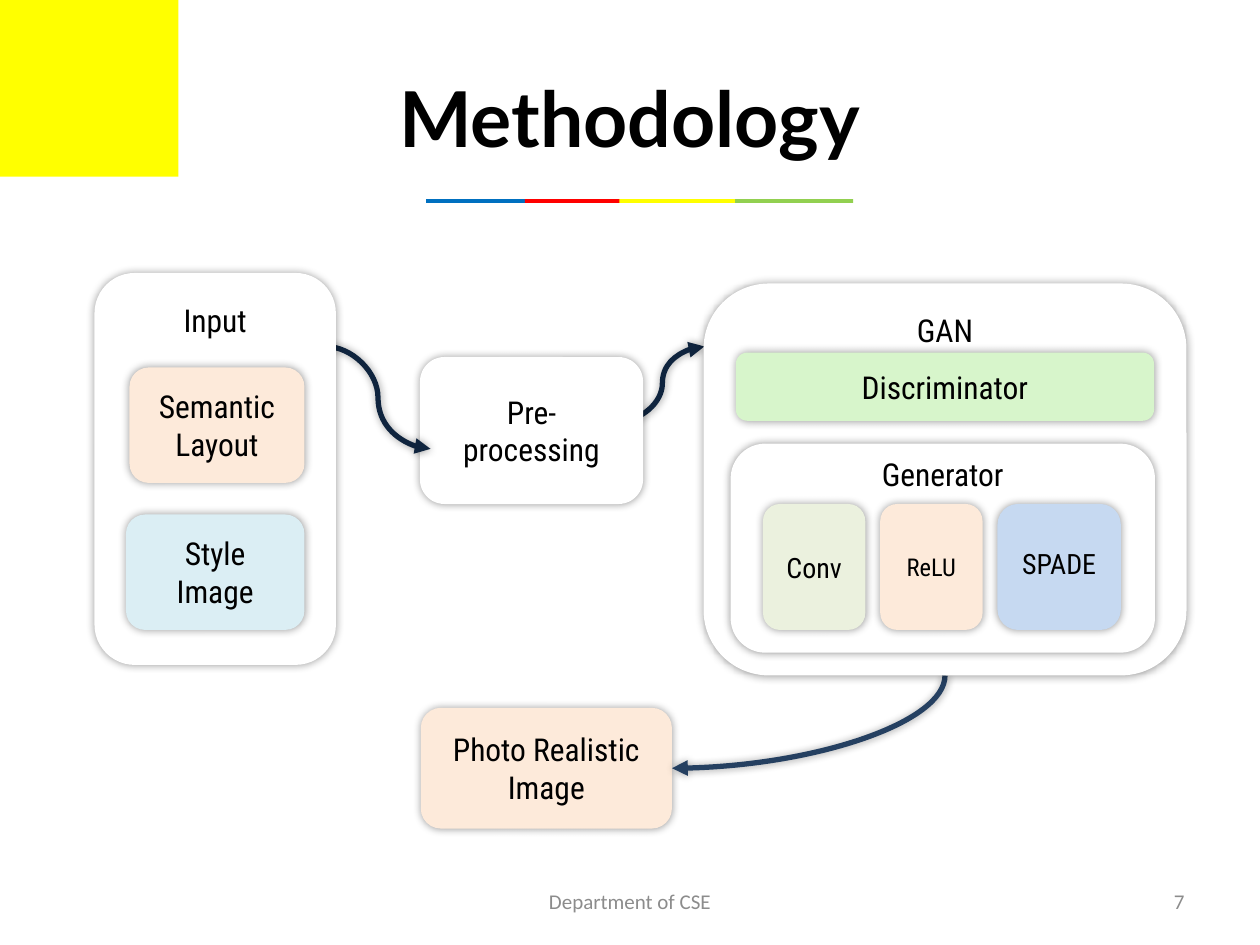
from lxml import etree
from pptx import Presentation
from pptx.dml.color import RGBColor
from pptx.enum.shapes import MSO_CONNECTOR, MSO_SHAPE
from pptx.enum.text import MSO_ANCHOR, PP_ALIGN
from pptx.oxml import parse_xml
from pptx.oxml.ns import nsdecls, qn
from pptx.util import Pt

CURVE = MSO_CONNECTOR.CURVE
RECTANGLE, ROUNDED = MSO_SHAPE.RECTANGLE, MSO_SHAPE.ROUNDED_RECTANGLE
TOP, MIDDLE = MSO_ANCHOR.TOP, MSO_ANCHOR.MIDDLE
CENTER, RIGHT = PP_ALIGN.CENTER, PP_ALIGN.RIGHT
TITLE_ONLY = 5
INSET = 3.6

COLORS = {
    "black": "000000", "white": "FFFFFF", "gray": "8C8C8C",
    "yellow": "FFFF00", "blue": "0070C0", "red": "FF0000", "lime": "92D050",
    "peach": "FDEADA", "ice": "DBEEF4", "mint": "D7F5CB",
    "sage": "EBF1DE", "sky": "C6D9F1",
    "navy": "0F243E", "steel": "254061",
}

TITLE = "Methodology"
TITLE_BOUNDS = (36, 21.6, 648, 90)
FOOTERS = [
    ("7", (516, 500.5, 168, 28.75), RIGHT),
    ("Department of CSE", (246, 500.5, 228, 28.75), CENTER),
]

CORNER = (-12, -13, 114, 114)
STRIPE_TOP, STRIPE_HEIGHT = 113.75, 2.25
STRIPES = [(243.5, 57, "blue"), (300, 57, "red"),
           (354, 70.5, "yellow"), (420, 67.5, "lime")]

MIDDLE_BOXES = [
    ("Pre-processing", (240, 204, 127.5, 84), "white"),
    ("Photo Realistic Image", (240.5, 404.5, 143.5, 69), "peach"),
]
INPUT_BOXES = [
    ("Semantic Layout", (74, 210, 100, 66), "peach"),
    ("Style Image", (72, 294, 102, 66), "ice"),
]
CONTAINERS = [
    ("Input", (54, 156, 138, 224), 9.2),
    ("GAN", (402, 162, 276, 224), 4.6),
    ("Generator", (417.5, 253.5, 242.5, 119.5), 1),
]
DISCRIMINATOR = ("Discriminator", (420.5, 201.5, 239, 39), "mint")
LAYER_LEFT, LAYER_TOP, LAYER_HEIGHT, LAYER_GAP = 436, 288, 72, 8.5
LAYERS = [("Conv", 58.5, "sage", 16, INSET), ("ReLU", 58.5, "peach", 14, INSET),
          ("SPADE", 70.5, "sky", 16, 7.2)]

PREPROCESSING_TO_GAN = (354.5, 240.5, 402.5, 198)
INPUT_TO_PREPROCESSING = (186, 198, 246, 256.5)
GAN_START, PHOTO_END = (540, 386), (384, 439)


def rgb(name):
    return RGBColor.from_string(COLORS[name])


def points(values):
    return [Pt(value) for value in values]


def add_shadow(shape):
    shape.element.spPr.append(parse_xml(
        f'<a:effectLst {nsdecls("a")}>'
        f'<a:outerShdw blurRad="{Pt(5)}" dist="0" dir="0" rotWithShape="0">'
        f'<a:srgbClr val="{COLORS["black"]}"><a:alpha val="40000"/></a:srgbClr>'
        '</a:outerShdw></a:effectLst>'))


def write(shape, text, font, size, color, align=CENTER, anchor=MIDDLE, bold=False):
    frame = shape.text_frame
    frame.word_wrap = True
    frame.vertical_anchor = anchor
    paragraph = frame.paragraphs[0]
    paragraph.alignment = align
    run = paragraph.add_run()
    run.text = text
    run.font.name = font
    run.font.size = Pt(size)
    run.font.bold = bold
    run.font.color.rgb = rgb(color)


def add_filled(slide, kind, bounds, color):
    shape = slide.shapes.add_shape(kind, *points(bounds))
    shape.fill.solid()
    shape.fill.fore_color.rgb = rgb(color)
    shape.line.fill.background()
    return shape


def add_bar(slide, bounds, color):
    add_filled(slide, RECTANGLE, bounds, color).shadow.inherit = False


def add_box(slide, text, bounds, color, size=18, anchor=MIDDLE, top=INSET, bottom=INSET):
    box = add_filled(slide, ROUNDED, bounds, color)
    add_shadow(box)
    write(box, text, "Roboto Condensed", size, "black", anchor=anchor)
    box.text_frame.margin_top = Pt(top)
    box.text_frame.margin_bottom = Pt(bottom)


def add_container(slide, text, bounds, top):
    add_box(slide, text, bounds, "white", anchor=TOP, top=top)


def add_arrow(slide, ends, color):
    arrow = slide.shapes.add_connector(CURVE, *points(ends))
    arrow.line.color.rgb = rgb(color)
    arrow.line.width = Pt(3)
    line = arrow.element.spPr.find(qn("a:ln"))
    etree.SubElement(line, qn("a:tailEnd"), type="triangle")
    add_shadow(arrow)
    return arrow


def add_quarter_arrow(slide, start, end, color):
    center_x, center_y = (start[0] + end[0]) / 2, (start[1] + end[1]) / 2
    half_width, half_height = (end[1] - start[1]) / 2, (start[0] - end[0]) / 2
    arrow = add_arrow(slide, (center_x - half_width, center_y - half_height,
                              center_x + half_width, center_y + half_height), color)
    properties = arrow.element.spPr
    properties.find(qn("a:xfrm")).set("rot", str(90 * 60000))
    properties.find(qn("a:prstGeom")).set("prst", "curvedConnector2")


def main():
    presentation = Presentation()
    presentation.slide_width, presentation.slide_height = Pt(720), Pt(540)
    slide = presentation.slides.add_slide(presentation.slide_layouts[TITLE_ONLY])

    title = slide.shapes.title
    title.left, title.top, title.width, title.height = points(TITLE_BOUNDS)
    write(title, TITLE, "Lato", 44, "black", bold=True)

    for text, bounds, align in FOOTERS:
        footer = slide.shapes.add_textbox(*points(bounds))
        write(footer, text, "Calibri", 12, "gray", align)

    add_arrow(slide, PREPROCESSING_TO_GAN, "navy")
    for box in MIDDLE_BOXES:
        add_box(slide, *box)
    add_arrow(slide, INPUT_TO_PREPROCESSING, "navy")
    add_quarter_arrow(slide, GAN_START, PHOTO_END, "steel")

    for container in CONTAINERS:
        add_container(slide, *container)
    for box in INPUT_BOXES + [DISCRIMINATOR]:
        add_box(slide, *box)

    left = LAYER_LEFT
    for text, width, color, size, bottom in LAYERS:
        bounds = (left, LAYER_TOP, width, LAYER_HEIGHT)
        add_box(slide, text, bounds, color, size, bottom=bottom)
        left += width + LAYER_GAP

    add_bar(slide, CORNER, "yellow")
    for left, width, color in STRIPES:
        add_bar(slide, (left, STRIPE_TOP, width, STRIPE_HEIGHT), color)

    presentation.save("out.pptx")


if __name__ == "__main__":
    main()
